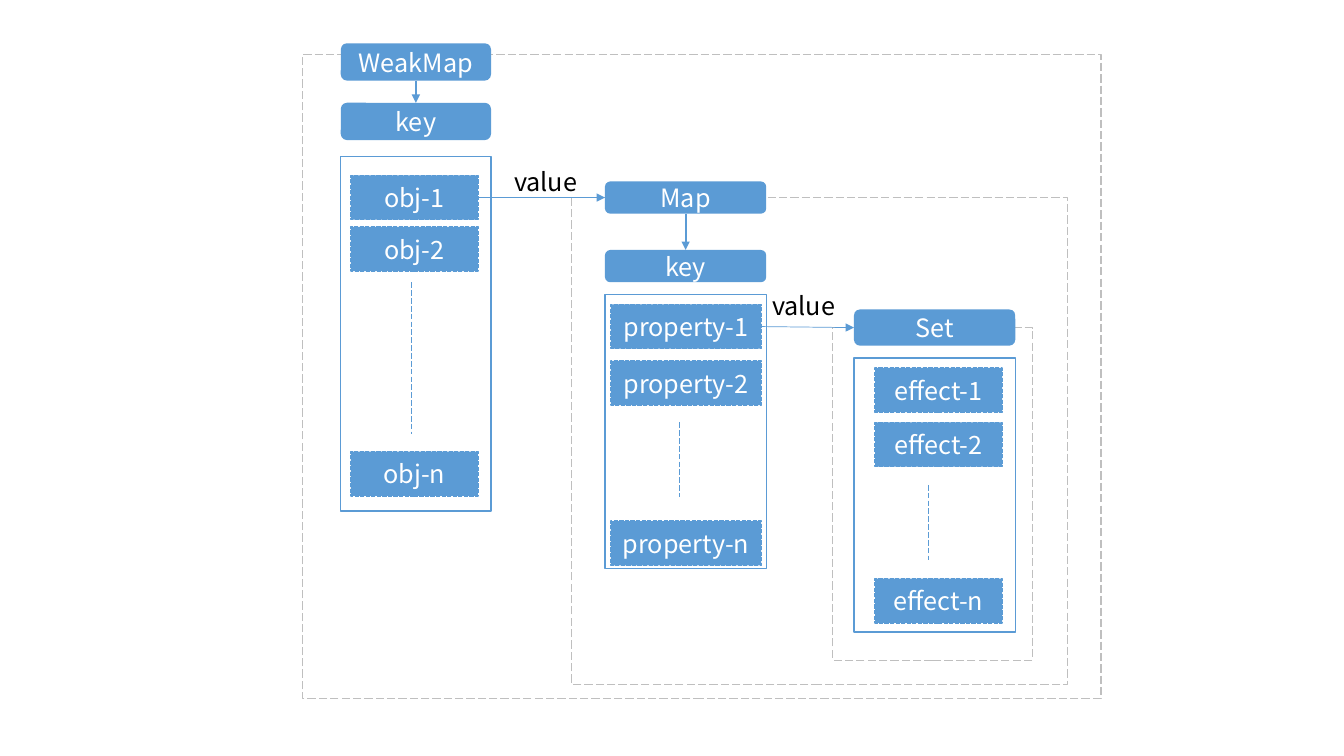
"""Draw the WeakMap, Map and Set dependency structure on one slide."""
from dataclasses import dataclass

from lxml import etree
from pptx import Presentation
from pptx.dml.color import RGBColor
from pptx.enum.dml import MSO_LINE
from pptx.enum.shapes import MSO_CONNECTOR, MSO_SHAPE
from pptx.enum.text import MSO_ANCHOR, MSO_AUTO_SIZE, PP_ALIGN
from pptx.oxml.ns import qn
from pptx.util import Inches, Pt

RECT, ROUNDED = MSO_SHAPE.RECTANGLE, MSO_SHAPE.ROUNDED_RECTANGLE
STRAIGHT = MSO_CONNECTOR.STRAIGHT
LONG_DASH, SHORT_DASH = MSO_LINE.LONG_DASH, MSO_LINE.SQUARE_DOT
MIDDLE, CENTER = MSO_ANCHOR.MIDDLE, PP_ALIGN.CENTER
GROW = MSO_AUTO_SIZE.SHAPE_TO_FIT_TEXT
TOP, LEFT, BOTTOM, RIGHT = range(4)
FONT = "Noto Sans CJK SC"
BLUE, GREY, WHITE, BLACK = "5B9BD5", "BFBFBF", "FFFFFF", "000000"
CELL = 0.1
ITEM_ROWS = 4.4


@dataclass
class Level:
    """One collection: places and sizes are in grid columns and rows."""
    title: str
    frame: tuple
    header: tuple
    key_top: float | None
    holder: tuple
    item_left: float
    item_width: float
    item: str
    item_tops: tuple
    gap: tuple


LEVELS = [
    Level("WeakMap", (30, 5.4, 79.2, 63.9), (33.8, 4.3, 14.9, 3.7), 10.2,
          (33.8, 15.5, 14.9, 35.2), 34.8, 12.6, "obj",
          (17.4, 22.5, 44.8), (40.8, 28, 43.1)),
    Level("Map", (56.7, 19.6, 49.2, 48.3), (60, 18, 16, 3.2), 24.8,
          (60, 29.2, 16, 27.2), 60.6, 14.9, "property",
          (30.2, 35.8, 51.7), (67.4, 41.9, 49.3)),
    Level("Set", (82.6, 32.5, 19.8, 33), (84.7, 30.7, 16, 3.6), None,
          (84.7, 35.5, 16, 27.2), 86.8, 12.6, "effect",
          (36.5, 41.9, 57.4), (92.1, 48.1, 55.6)),
]


def grid(*cells):
    """Turn grid cells into slide lengths."""
    return [Inches(n * CELL) for n in cells]


def color(value):
    """Turn a hex string into a colour."""
    return RGBColor.from_string(value)


def style_line(line, hue, width, dash=None):
    """Set the colour, width and dash of a line."""
    line.color.rgb = color(hue)
    line.width = Pt(width)
    if dash:
        line.dash_style = dash


def write(sp, text, hue):
    """Put one line of text into a shape."""
    tf = sp.text_frame
    tf.text = text
    tf.word_wrap = True
    font = tf.paragraphs[0].runs[0].font
    font.name, font.size, font.color.rgb = FONT, Pt(18), color(hue)
    return tf


def add_outline(s, area, hue, width, dash=None):
    """Add an unfilled rectangle."""
    sp = s.shapes.add_shape(RECT, *grid(*area))
    sp.shadow.inherit = False
    sp.fill.background()
    style_line(sp.line, hue, width, dash)


def add_box(s, kind, area, text):
    """Add a blue box with centred white text."""
    sp = s.shapes.add_shape(kind, *grid(*area))
    sp.shadow.inherit = False
    sp.fill.solid()
    sp.fill.fore_color.rgb = color(BLUE)
    if kind == RECT:
        style_line(sp.line, BLUE, 1, SHORT_DASH)
    else:
        sp.line.fill.background()
    tf = write(sp, text, WHITE)
    tf.margin_left = tf.margin_right = 0
    tf.vertical_anchor = MIDDLE
    tf.paragraphs[0].alignment = CENTER
    return sp


def add_line(s, ends, width, dash=None):
    """Add a straight blue line."""
    line = s.shapes.add_connector(STRAIGHT, *grid(*ends))
    style_line(line.line, BLUE, width, dash)
    etree.SubElement(line._element.spPr, qn("a:effectLst"))
    return line


def add_arrow(s, start, start_side, end, end_side, width):
    """Join two boxes with an arrow."""
    line = add_line(s, (0, 0, 0, 0), width)
    line.begin_connect(start, start_side)
    line.end_connect(end, end_side)
    etree.SubElement(line.line._get_or_add_ln(), qn("a:tailEnd"), type="triangle")


def add_label(s, left, top, text):
    """Add a black label."""
    sp = s.shapes.add_textbox(*grid(left, top, 9, 4))
    write(sp, text, BLACK).auto_size = GROW


def add_level(s, level):
    """Draw one collection and return its title box and first item."""
    title = add_box(s, ROUNDED, level.header, level.title)
    if level.key_top is not None:
        left, _, width, height = level.header
        key = add_box(s, ROUNDED, (left, level.key_top, width, height), "key")
        add_arrow(s, title, BOTTOM, key, TOP, 1.5)
    add_outline(s, level.holder, BLUE, 1)
    items = [add_box(s, RECT, (level.item_left, top, level.item_width, ITEM_ROWS),
                     f"{level.item}-{index}")
             for index, top in zip("12n", level.item_tops)]
    x, start, end = level.gap
    add_line(s, (x, start, x, end), 0.5, LONG_DASH)
    return title, items[0]


def main():
    """Build and save the slide."""
    prs = Presentation()
    prs.slide_width, prs.slide_height = Inches(13.33), Inches(7.5)
    s = prs.slides.add_slide(prs.slide_layouts[6])
    for level in LEVELS:
        add_outline(s, level.frame, GREY, 0.75, LONG_DASH)
    drawn = [add_level(s, level) for level in LEVELS]
    for (_, item), (title, _) in zip(drawn, drawn[1:]):
        add_arrow(s, item, RIGHT, title, LEFT, 0.5)
    for left, top in ((50, 16), (75.6, 28.3)):
        add_label(s, left, top, "value")
    prs.save("out.pptx")


if __name__ == "__main__":
    main()
